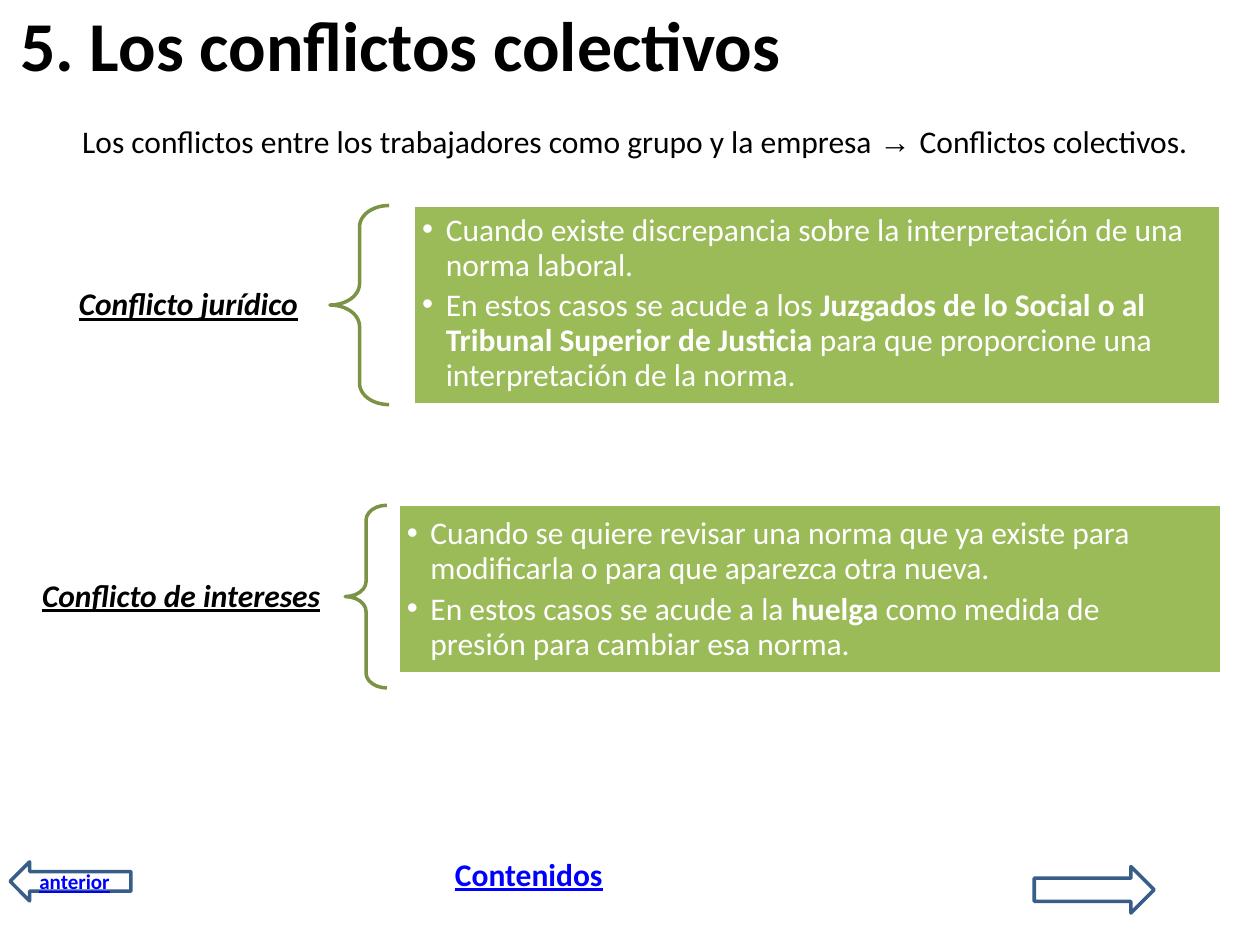
import pptx
import pptx.dml.color
import pptx.enum.shapes
import pptx.enum.text
import pptx.util
from lxml import etree
from pptx.oxml.ns import qn

Pt = pptx.util.Pt
SHAPES = pptx.enum.shapes.MSO_SHAPE
BLACK, WHITE, LINK = "000000", "FFFFFF", "0000FF"
GREEN, BRACE_GREEN, ARROW_BLUE = "9BBA58", "7A9345", "385D89"


def color(value):
    return pptx.dml.color.RGBColor.from_string(value)


def place(shape, left, top, width, height):
    shape.left, shape.top = Pt(left), Pt(top)
    shape.width, shape.height = Pt(width), Pt(height)


def prepare_frame(shape, top=1, right=0):
    frame = shape.text_frame
    frame.word_wrap = True
    frame.auto_size = pptx.enum.text.MSO_AUTO_SIZE.NONE
    frame.vertical_anchor = pptx.enum.text.MSO_ANCHOR.TOP
    frame.margin_left = frame.margin_bottom = 0
    frame.margin_top, frame.margin_right = Pt(top), Pt(right)
    return frame


def add_span(para, text, size=18, ink=BLACK, bold=False, italic=False,
             underline=False, font="Calibri"):
    span = para.add_run()
    span.text = text
    span.font.name, span.font.size = font, Pt(size)
    span.font.bold, span.font.italic = bold, italic
    span.font.underline = underline
    span.font.color.rgb = color(ink)


def add_text(page, bounds, *spans):
    box = page.shapes.add_textbox(0, 0, 0, 0)
    place(box, *bounds)
    para = prepare_frame(box).paragraphs[0]
    para.alignment = pptx.enum.text.PP_ALIGN.LEFT
    for text, style in spans:
        add_span(para, text, **style)


def add_title(page, text):
    title = page.shapes.title
    place(title, 11.5, 0, 460, 50)
    para = prepare_frame(title).paragraphs[0]
    para.alignment = pptx.enum.text.PP_ALIGN.LEFT
    add_span(para, text, size=40, bold=True)


def add_outline(page, kind, bounds, ink):
    shape = page.shapes.add_shape(kind, 0, 0, 0, 0)
    place(shape, *bounds)
    shape.shadow.inherit = False
    shape.fill.background()
    shape.line.color.rgb = color(ink)
    shape.line.width = Pt(2)
    return shape


def add_brace(page, bounds):
    brace = add_outline(page, SHAPES.LEFT_BRACE, bounds, BRACE_GREEN)
    brace.adjustments[0] = 0.36


def add_bullet(para):
    properties = para._p.get_or_add_pPr()
    properties.set("marL", str(Pt(18.5)))
    properties.set("indent", str(-Pt(13.5)))
    bullet_font = etree.SubElement(properties, qn("a:buFont"))
    bullet_font.set("typeface", "Arial")
    bullet = etree.SubElement(properties, qn("a:buChar"))
    bullet.set("char", "•")


def add_definition(page, bounds, top, right, items):
    box = add_outline(page, SHAPES.RECTANGLE, bounds, WHITE)
    box.fill.solid()
    box.fill.fore_color.rgb = color(GREEN)
    frame = prepare_frame(box, top, right)
    for number, spans in enumerate(items):
        para = frame.add_paragraph() if number else frame.paragraphs[0]
        add_bullet(para)
        para.alignment = pptx.enum.text.PP_ALIGN.LEFT
        para.line_spacing = Pt(20)
        para.space_before = Pt(3 if number else 0)
        for text, bold in spans:
            add_span(para, text, ink=WHITE, bold=bold)


def main():
    deck = pptx.Presentation()
    deck.slide_width, deck.slide_height = Pt(720), Pt(540)
    page = deck.slides.add_slide(deck.slide_layouts[5])
    label = {"bold": True, "italic": True, "underline": True}
    link = {"bold": True, "underline": True, "ink": LINK}

    add_title(page, "5. Los conflictos colectivos")
    add_text(page, (47, 68.5, 660, 24),
             ("Los conflictos entre los trabajadores como grupo y la empresa ", {}),
             ("→ ", {"font": "Arial"}),
             ("Conflictos colectivos.", {}))

    add_text(page, (45, 161.5, 140, 24), ("Conflicto jurídico", label))
    add_brace(page, (188.6, 117.4, 33.8, 113.8))
    add_definition(page, (236.2, 117.4, 461.5, 113.8), 4, 0, [
        [("Cuando existe discrepancia sobre la interpretación de una "
          "norma laboral.", False)],
        [("En estos casos se acude a los ", False),
         ("Juzgados de lo Social o al Tribunal Superior de Justicia ", True),
         ("para que proporcione una interpretación de la norma.", False)],
    ])

    add_text(page, (24, 328, 170, 24), ("Conflicto de intereses", label))
    add_brace(page, (197.3, 288.7, 23.8, 104.4))
    add_definition(page, (227.5, 288, 470.9, 97.2), 7, 50, [
        [("Cuando se quiere revisar una norma que ya existe para "
          "modificarla o para que aparezca otra nueva.", False)],
        [("En estos casos se acude a la ", False),
         ("huelga ", True),
         ("como medida de presión para cambiar esa norma.", False)],
    ])

    add_outline(page, SHAPES.LEFT_ARROW, (5.8, 492.5, 69, 22.3), ARROW_BLUE)
    add_text(page, (22.5, 495.5, 48, 16), ("anterior", {**link, "size": 12}))
    add_text(page, (260, 487.5, 95, 24), ("Contenidos", link))
    add_outline(page, SHAPES.RIGHT_ARROW, (591, 495.2, 68.5, 26.6), ARROW_BLUE)

    deck.save("out.pptx")


if __name__ == "__main__":
    main()
